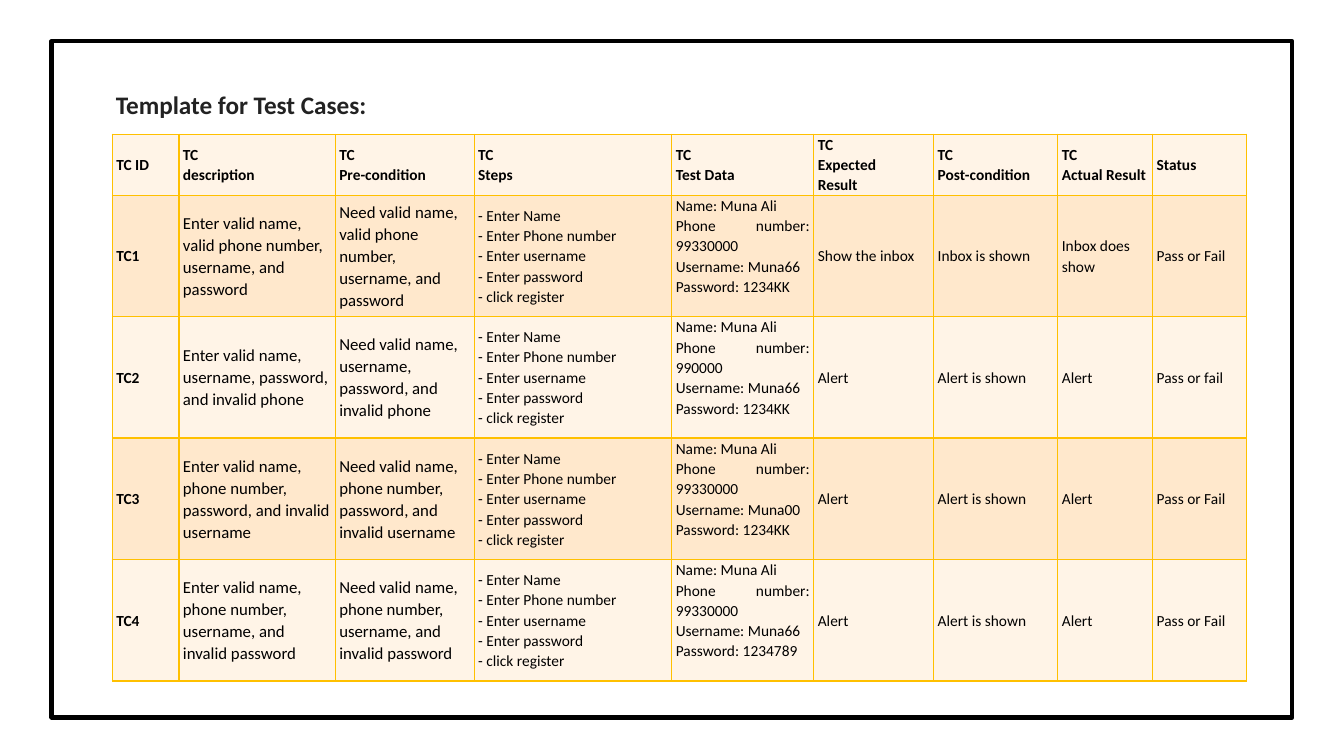
"""Build a slide with a table of test cases inside a black frame."""
from lxml.etree import SubElement as Sub
from pptx import Presentation
from pptx.dml.color import RGBColor
from pptx.enum.shapes import MSO_SHAPE as Shape
from pptx.enum.text import MSO_ANCHOR as Anchor, MSO_AUTO_SIZE as Auto, PP_ALIGN as Align
from pptx.oxml.ns import qn
from pptx.util import Cm, Pt

BLACK = RGBColor(0x00, 0x00, 0x00)
GREY = RGBColor(0x22, 0x22, 0x22)
GOLD = RGBColor(0xFF, 0xC0, 0x00)
CREAM = RGBColor(0xFF, 0xF4, 0xE7)
PEACH = RGBColor(0xFF, 0xE8, 0xCC)

WIDTHS = [1.68, 3.94, 3.5, 4.98, 3.58, 3.02, 3.13, 2.39, 2.36]
HEAD_HIGH, CASE_HIGH = 1.49, 2.99
DATA_COL = 4

HEADS = ["TC ID", "TC\ndescription", "TC\nPre-condition", "TC\nSteps", "TC\nTest Data",
         "TC\nExpected\nResult", "TC\nPost-condition", "TC\nActual Result", "Status"]
STEPS = "- Enter Name\n- Enter Phone number\n- Enter username\n- Enter password\n- click register"
INBOX = ["Show the inbox", "Inbox is shown", "Inbox does show"]
ALERT = ["Alert", "Alert is shown", "Alert"]
CASES = [
    ("valid name, valid phone number, username, and password",
     "99330000", "Muna66", "1234KK", INBOX, "Pass or Fail"),
    ("valid name, username, password, and invalid phone",
     "990000", "Muna66", "1234KK", ALERT, "Pass or fail"),
    ("valid name, phone number, password, and invalid username",
     "99330000", "Muna00", "1234KK", ALERT, "Pass or Fail"),
    ("valid name, phone number, username, and invalid password",
     "99330000", "Muna66", "1234789", ALERT, "Pass or Fail"),
]


def write(frame, text, size=11, bold=False, color=BLACK, align=Align.LEFT):
    """Fill a text frame, one paragraph per line of text."""
    frame.word_wrap = True
    frame.text = text
    for para in frame.paragraphs:
        para.alignment = align
        para.line_spacing = 1.07
        font = para.runs[0].font
        font.name, font.size, font.bold = "Calibri", Pt(size), bold
        font.color.rgb = color


def add_title(slide, text):
    """Place and format the title."""
    title = slide.shapes.title
    title.left, title.top, title.width, title.height = Cm(2.18), Cm(2.08), Cm(16.94), Cm(1.04)
    frame = title.text_frame
    write(frame, text, size=18, bold=True, color=GREY, align=Align.JUSTIFY)
    frame.auto_size = Auto.NONE
    frame.vertical_anchor = Anchor.TOP
    frame.margin_left = Cm(0.74)


def add_frame(slide):
    """Draw the black frame around the slide."""
    box = slide.shapes.add_shape(Shape.RECTANGLE, Cm(1.3), Cm(1.04), Cm(31.27), Cm(17.04))
    box.shadow.inherit = False
    box.fill.background()
    box.line.color.rgb = BLACK
    box.line.width = Pt(3)


def edge(cell):
    """Give a cell gold borders on all sides."""
    props = cell._tc.get_or_add_tcPr()
    for side in ("a:lnL", "a:lnR", "a:lnT", "a:lnB"):
        line = Sub(props, qn(side), w=str(Pt(1)))
        Sub(Sub(line, qn("a:solidFill")), qn("a:srgbClr"), val=str(GOLD))


def style(cell, fill, low=0):
    """Set the borders, fill, anchor and margins of a cell."""
    edge(cell)
    cell.fill.solid()
    cell.fill.fore_color.rgb = fill
    cell.vertical_anchor = Anchor.MIDDLE
    cell.margin_left = cell.margin_right = Cm(0.1)
    cell.margin_top, cell.margin_bottom = 0, Cm(low)


def case_row(index, case):
    """Return the cell texts of one test case."""
    need, phone, user, code, result, status = case
    data = f"Name: Muna Ali\nPhone number: {phone}\nUsername: {user}\nPassword: {code}"
    return [f"TC{index}", f"Enter {need}", f"Need {need}", STEPS, data, *result, status]


def add_cases(slide):
    """Add the table of test cases."""
    rows = [HEADS] + [case_row(i, case) for i, case in enumerate(CASES, 1)]
    highs = [HEAD_HIGH] + [CASE_HIGH] * len(CASES)
    table = slide.shapes.add_table(len(rows), len(WIDTHS), Cm(2.83), Cm(3.38),
                                   Cm(sum(WIDTHS)), Cm(sum(highs))).table
    table.horz_banding = table.first_row = False
    for col, wide in zip(table.columns, WIDTHS):
        col.width = Cm(wide)
    for r, texts in enumerate(rows):
        table.rows[r].height = Cm(highs[r])
        for c, text in enumerate(texts):
            cell = table.cell(r, c)
            data = r > 0 and c == DATA_COL
            style(cell, PEACH if r % 2 else CREAM, low=0.5 if data else 0)
            write(cell.text_frame, text, size=12 if r and c in (1, 2) else 11,
                  bold=r == 0 or c == 0, align=Align.JUSTIFY if data else Align.LEFT)


def main():
    """Build and save the slide."""
    deck = Presentation()
    deck.slide_width, deck.slide_height = Cm(33.87), Cm(19.05)
    slide = deck.slides.add_slide(deck.slide_layouts[5])
    add_title(slide, "Template for Test Cases:")
    add_frame(slide)
    add_cases(slide)
    deck.save("out.pptx")


if __name__ == "__main__":
    main()
